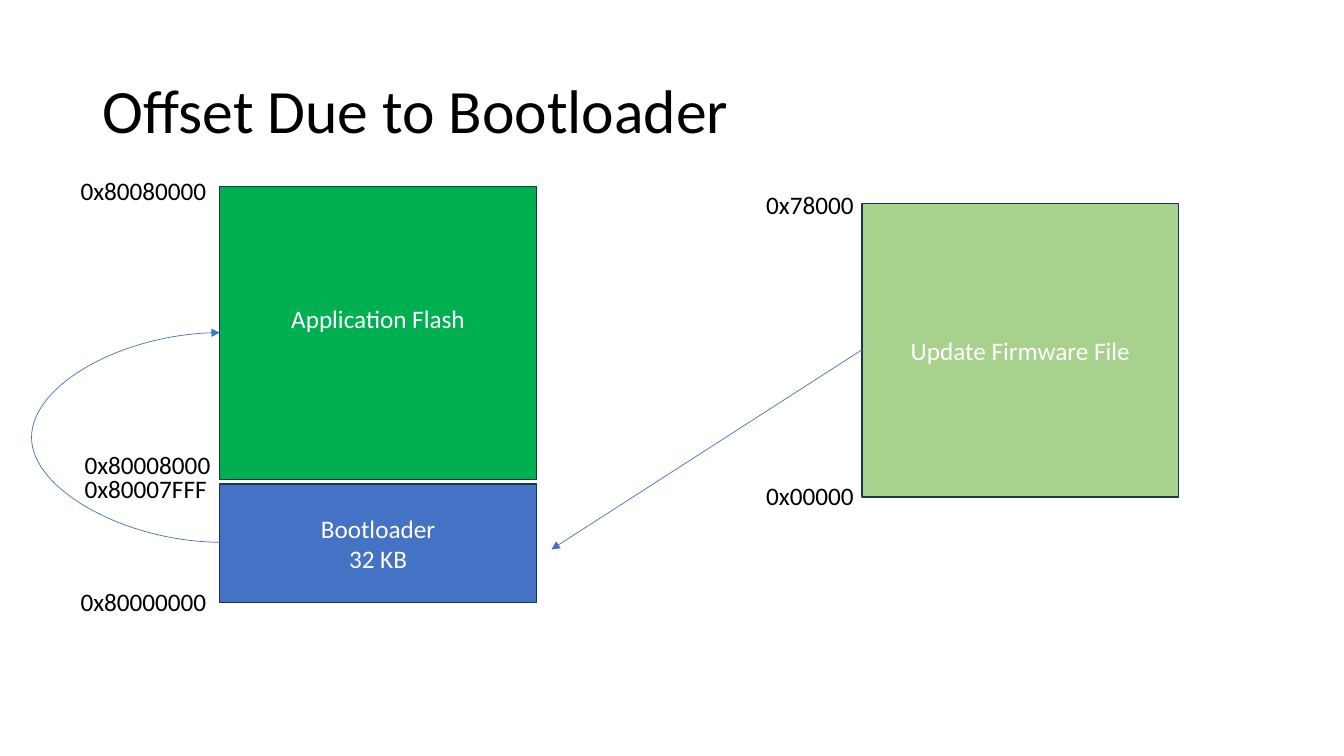
import dataclasses

import lxml.etree
import pptx
import pptx.dml.color
import pptx.enum.shapes
import pptx.enum.text
import pptx.oxml
import pptx.oxml.ns
import pptx.util

Inches = pptx.util.Inches
Pt = pptx.util.Pt
RGB = pptx.dml.color.RGBColor.from_string
ALIGN = pptx.enum.text.PP_ALIGN
ANCHOR = pptx.enum.text.MSO_ANCHOR
CONNECTOR = pptx.enum.shapes.MSO_CONNECTOR
qn = pptx.oxml.ns.qn


@dataclasses.dataclass(frozen=True)
class Theme:
    """Colours, font and sizes of the deck."""
    font: str = "Calibri"
    title_size: float = 44
    body_size: float = 18
    ink: str = "000000"
    light: str = "FFFFFF"
    outline: str = "1E3256"
    blue: str = "4472C4"
    green: str = "00B050"
    pale_green: str = "A9D18E"


THEME = Theme()


def write_text(shape, text, size, color, frame_format, para_format):
    """Fill a shape with one formatted paragraph."""
    frame = shape.text_frame
    for name, value in {"word_wrap": True, **frame_format}.items():
        setattr(frame, name, value)
    para = frame.paragraphs[0]
    para.text = text
    for name, value in para_format.items():
        setattr(para, name, value)
    for name, value in {"name": THEME.font, "size": Pt(size)}.items():
        setattr(para.font, name, value)
    para.font.color.rgb = RGB(color)


def add_title(page, box, text):
    """Place the slide title."""
    title = page.shapes.add_textbox(*map(Inches, box))
    write_text(title, text, THEME.title_size, THEME.ink,
               {"vertical_anchor": ANCHOR.MIDDLE}, {"line_spacing": 0.9})


def add_memory_block(page, box, text, fill, addresses, bottom_inset=0.05):
    """Draw a memory region with address labels offset from its corner."""
    left, top = box[:2]
    block = page.shapes.add_shape(
        pptx.enum.shapes.MSO_SHAPE.RECTANGLE, *map(Inches, box))
    block.shadow.inherit = False
    block.fill.solid()
    block.fill.fore_color.rgb = RGB(fill)
    block.line.color.rgb = RGB(THEME.outline)
    block.line.width = Pt(1)
    write_text(block, text, THEME.body_size, THEME.light,
               {"vertical_anchor": ANCHOR.MIDDLE,
                "margin_bottom": Inches(bottom_inset)},
               {"alignment": ALIGN.CENTER})
    for address, across, down in addresses:
        label = page.shapes.add_textbox(
            *map(Inches, (left + across, top + down, 1.81, 0.4)))
        write_text(label, address, THEME.body_size, THEME.ink, {}, {})


def add_arrow(page, kind, start, end):
    """Draw a thin connector with a triangle at its end."""
    arrow = page.shapes.add_connector(kind, *map(Inches, start + end))
    arrow.line.color.rgb = RGB(THEME.blue)
    arrow.line.width = Pt(0.5)
    lxml.etree.SubElement(arrow.line._get_or_add_ln(), qn("a:tailEnd"), type="triangle")
    lxml.etree.SubElement(arrow._element.spPr, qn("a:effectLst"))
    return arrow


def add_jump_arrow(page, box, bulge):
    """Draw a curve from the foot of a box up to its head, bulging left."""
    left, top, width, height = box
    arrow = add_arrow(page, CONNECTOR.CURVE, (left, top),
                      (left + width, top + height))
    properties = arrow._element.spPr
    properties.find(qn("a:xfrm")).set("rot", str(180 * 60000))
    guides = properties.find(qn("a:prstGeom")).get_or_add_avLst()
    lxml.etree.SubElement(guides, qn("a:gd"), name="adj1",
                          fmla=f"val {round(bulge / width * 100000)}")


def add_offset_slide(deck):
    """Build the slide that maps the update file onto flash."""
    page = deck.slides.add_slide(deck.slide_layouts[6])
    add_title(page, (0.92, 0.4, 11.5, 1.45), "Offset Due to Bootloader")
    add_memory_block(page, (2.18, 4.8, 3.14, 1.18), "Bootloader\v32 KB", THEME.blue,
                     [("0x80000000", -1.48, 0.97), ("0x80007FFF", -1.44, -0.15)])
    add_memory_block(page, (2.18, 1.85, 3.14, 2.91), "Application Flash", THEME.green,
                     [("0x80008000", -1.44, 2.56), ("0x80080000", -1.48, -0.16)],
                     bottom_inset=0.35)
    add_memory_block(page, (8.55, 2.02, 3.14, 2.91), "Update Firmware File",
                     THEME.pale_green,
                     [("0x00000", -1.05, 2.7), ("0x78000", -1.05, -0.19)])
    add_arrow(page, CONNECTOR.STRAIGHT, (8.55, 3.47), (5.47, 5.45))
    add_jump_arrow(page, (2.18, 3.3, 0.02, 2.08), bulge=1.88)


def main():
    """Create and save the deck."""
    deck = pptx.Presentation()
    deck.slide_width = Inches(13.33)
    deck.slide_height = Inches(7.5)
    add_offset_slide(deck)
    deck.save("out.pptx")


if __name__ == "__main__":
    main()
